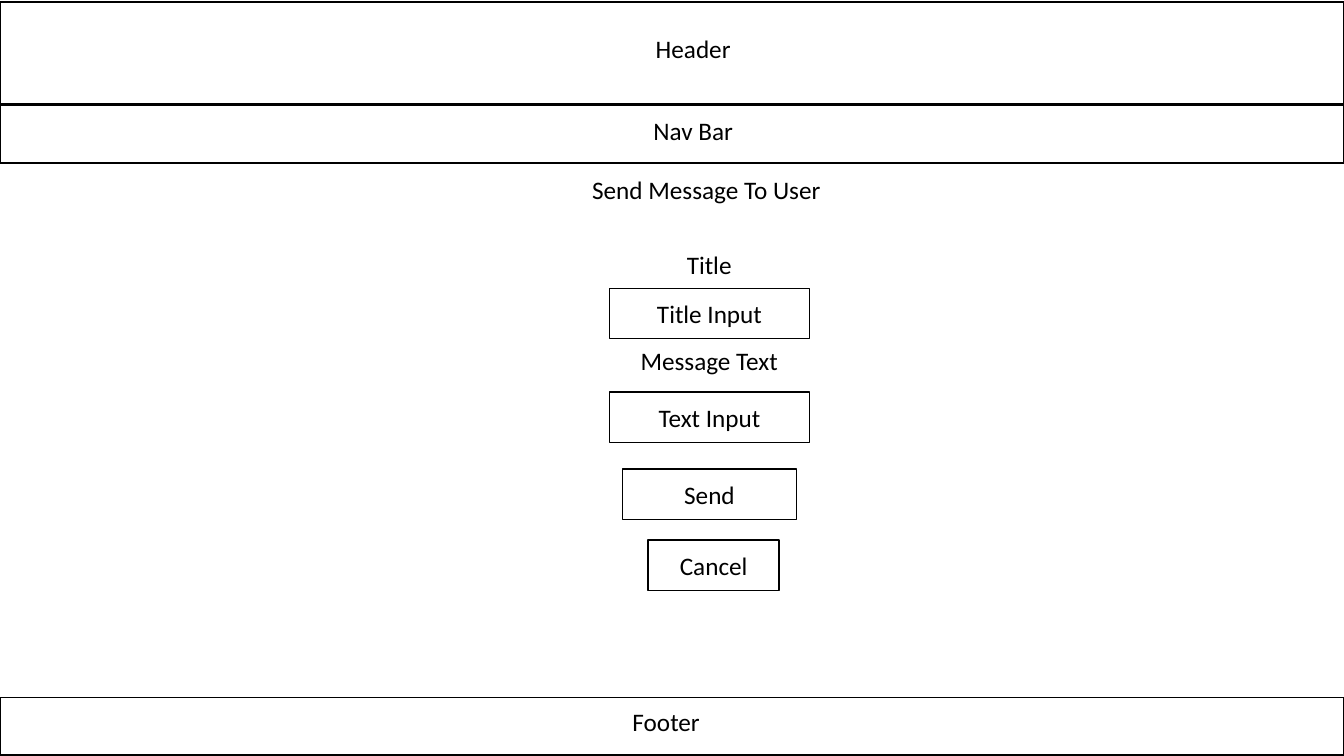
import pptx
import pptx.util
import pptx.dml.color
import pptx.enum.shapes
import pptx.enum.text
from dataclasses import dataclass

Pt = pptx.util.Pt


@dataclass
class Theme:
    ink: pptx.dml.color.RGBColor = pptx.dml.color.RGBColor(0, 0, 0)
    font: str = "Calibri"
    size: float = 18
    outline: float = 1


theme = Theme()
page_width, page_height = 960, 540
label_width = 422.6
control_height = 36

deck = pptx.Presentation()
deck.slide_width, deck.slide_height = Pt(page_width), Pt(page_height)
page = deck.slides.add_slide(deck.slide_layouts[6])


def write(holder, wording):
    frame = holder.text_frame
    frame.word_wrap = True
    frame.text = wording
    line = frame.paragraphs[0]
    line.alignment = pptx.enum.text.PP_ALIGN.CENTER
    font = line.runs[0].font
    font.name, font.size = theme.font, Pt(theme.size)
    font.color.rgb = theme.ink


def outlined_box(left, top, width, height):
    box = page.shapes.add_shape(
        pptx.enum.shapes.MSO_SHAPE.RECTANGLE, Pt(left), Pt(top), Pt(width), Pt(height))
    box.shadow.inherit = False
    box.fill.background()
    box.line.color.rgb = theme.ink
    box.line.width = Pt(theme.outline)
    return box


for band_top, band_height in [(1.3, 73), (75.5, 41), (498.3, 41)]:
    outlined_box(0, band_top, page_width, band_height)

labels = [
    ("Header ", 497.2, 20.2, 34.6),
    ("Nav Bar ", 497.2, 78.6, 34.6),
    ("Footer  ", 479.9, 501.2, 34.6),
    ("Send Message To User ", 506.6, 121, 29),
    ("Title", 506.6, 174.2, 29),
    ("Message Text", 506.6, 243.4, 29),
]
for wording, center, top, height in labels:
    label = page.shapes.add_textbox(
        Pt(center - label_width / 2), Pt(top), Pt(label_width), Pt(height))
    write(label, wording)
    label.text_frame.auto_size = pptx.enum.text.MSO_AUTO_SIZE.SHAPE_TO_FIT_TEXT

controls = [
    ("Title Input", 506.8, 206, 142.6),
    ("Text Input", 506.8, 280, 142.6),
    ("Send", 506.8, 335, 124),
    ("Cancel", 509.8, 385.7, 93.6),
]
for wording, center, top, width in controls:
    control = outlined_box(center - width / 2, top, width, control_height)
    write(control, wording)
    control.text_frame.vertical_anchor = pptx.enum.text.MSO_ANCHOR.MIDDLE

deck.save("out.pptx")
